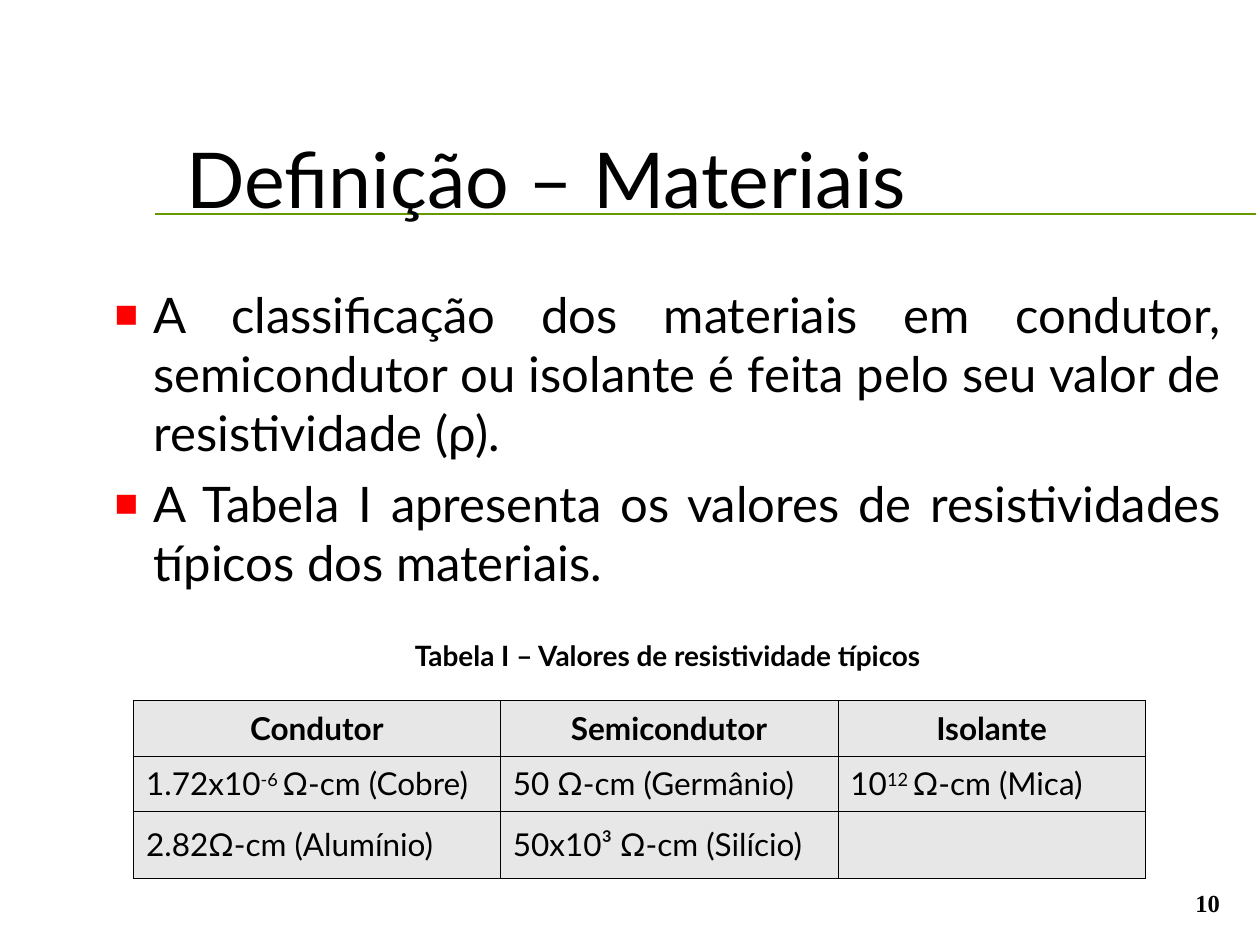
from lxml.etree import SubElement
from pptx import Presentation
from pptx.dml.color import RGBColor
from pptx.enum.shapes import MSO_CONNECTOR
from pptx.enum.text import MSO_ANCHOR, MSO_AUTO_SIZE, PP_ALIGN
from pptx.oxml.ns import qn
from pptx.util import Inches, Pt

BLACK = RGBColor(0x00, 0x00, 0x00)
RED = RGBColor(0xFF, 0x00, 0x00)
GREEN = RGBColor(0x66, 0x99, 0x00)
GREY = RGBColor(0xE7, 0xE7, 0xE7)


def add_span(para, text, size, bold=False, font="Lato"):
    span = para.add_run()
    span.text = text
    for name, value in {"name": font, "size": Pt(size), "bold": bold}.items():
        setattr(span.font, name, value)
    span.font.color.rgb = BLACK
    return span


def place(shape, left, top, width, height, anchor):
    bounds = {"left": left, "top": top, "width": width, "height": height}
    for name, value in bounds.items():
        setattr(shape, name, Inches(value))
    frame = shape.text_frame
    layout = {"word_wrap": True, "auto_size": MSO_AUTO_SIZE.NONE, "vertical_anchor": anchor}
    for name, value in layout.items():
        setattr(frame, name, value)
    return frame


deck = Presentation()
deck.slide_width = Inches(10)
deck.slide_height = Inches(7.5)
page = deck.slides.add_slide(deck.slide_layouts[1])
title, body = page.placeholders[0], page.placeholders[1]

rule = page.shapes.add_connector(
    MSO_CONNECTOR.STRAIGHT, Inches(1.23), Inches(1.7), Inches(9.97), Inches(1.7))
rule.line.color.rgb = GREEN
rule.line.width = Pt(1)
SubElement(rule._element.spPr, qn("a:effectLst"))
page.shapes._spTree.insert(2, rule._element)

title_para = place(title, 1.38, 0.23, 8.4, 1.6, MSO_ANCHOR.BOTTOM).paragraphs[0]
title_para.alignment = PP_ALIGN.LEFT
add_span(title_para, "Definição – Materiais", 44)

body_lines = [
    ("A classificação dos materiais em condutor, semicondutor ou isolante "
     "é feita pelo seu valor de resistividade (ρ).", 28, 7, True),
    ("A Tabela I apresenta os valores de resistividades típicos dos materiais.", 28, 7, True),
    ("Tabela I – Valores de resistividade típicos", 16, 27, False),
]
body_frame = place(body, 0.31, 2.21, 9.48, 4.67, MSO_ANCHOR.TOP)
for index, (text, size, space, bulleted) in enumerate(body_lines):
    para = body_frame.add_paragraph() if index else body_frame.paragraphs[0]
    para.alignment = PP_ALIGN.JUSTIFY if bulleted else PP_ALIGN.CENTER
    para.space_before = Pt(space)
    add_span(para, text, size, bold=not bulleted)
    props = para._p.get_or_add_pPr()
    props.set("marL", str(Inches(0.81)))
    props.set("indent", str(Inches(-0.31)))
    if bulleted:
        SubElement(SubElement(props, qn("a:buClr")), qn("a:srgbClr"), val=str(RED))
        SubElement(props, qn("a:buSzPct"), val="80000")
        SubElement(props, qn("a:buChar"), char="■")
    else:
        SubElement(props, qn("a:buNone"))

cells = [
    [["Condutor"], ["Semicondutor"], ["Isolante"]],
    [["1.72x10", "-6 ", "Ω-cm (Cobre)"], ["50 Ω-cm (Germânio)"], ["10", "12 ", "Ω-cm (Mica)"]],
    [["2.82Ω-cm (Alumínio)"], ["50x10³ Ω-cm (Silício)"], []],
]
table = page.shapes.add_table(
    3, 3, Inches(1.06), Inches(5.56), Inches(8.03), Inches(1.41)).table
for column, width in zip(table.columns, (2.91, 2.68, 2.44)):
    column.width = Inches(width)
for row, height in zip(table.rows, (0.44, 0.44, 0.53)):
    row.height = Inches(height)
for row_index, row_cells in enumerate(cells):
    for column_index, parts in enumerate(row_cells):
        cell = table.cell(row_index, column_index)
        cell.vertical_anchor = MSO_ANCHOR.MIDDLE
        para = cell.text_frame.paragraphs[0]
        para.alignment = PP_ALIGN.LEFT if row_index else PP_ALIGN.CENTER
        para.space_before = Pt(4.5)
        for part_index, part in enumerate(parts):
            span = add_span(para, part, 18, bold=row_index == 0)
            if part_index == 1:
                span.font._element.set("baseline", "30000")
        cell_props = cell._tc.get_or_add_tcPr()
        for side in ("lnL", "lnR", "lnT", "lnB"):
            border = SubElement(cell_props, qn(f"a:{side}"), w=str(Pt(0.45)))
            fill = SubElement(border, qn("a:solidFill"))
            SubElement(fill, qn("a:srgbClr"), val=str(BLACK))
        cell.fill.solid()
        cell.fill.fore_color.rgb = GREY

number_box = page.shapes.add_textbox(0, 0, 0, 0)
number_para = place(number_box, 7.7, 6.83, 2.08, 0.5, MSO_ANCHOR.BOTTOM).paragraphs[0]
number_para.alignment = PP_ALIGN.RIGHT
add_span(number_para, "10", 14, bold=True, font="Times New Roman")

deck.save("out.pptx")
